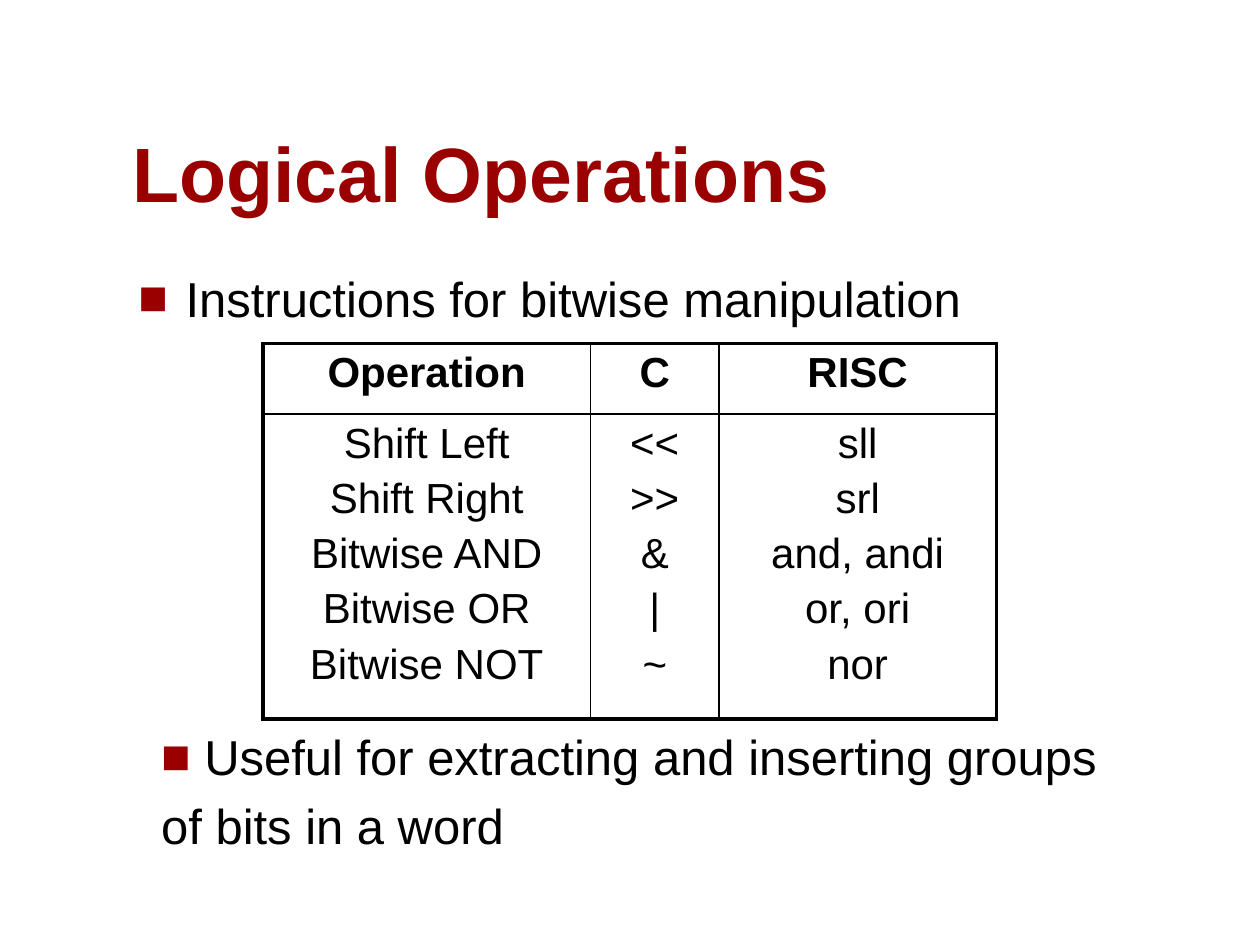
from lxml import etree
from pptx import Presentation
from pptx import util as u
from pptx.dml.color import RGBColor
from pptx.enum import text as t
from pptx.oxml import ns

COLORS = {"accent": "9A0000", "ink": "000000"}
THICK, THIN = 2.25, 1


def add_xml(parent, tag, **attributes):
    return etree.SubElement(parent, ns.qn(tag), attributes)


def write_text(frame, lines, size, color="ink", bold=False, align=t.PP_ALIGN.LEFT,
               gap=0, anchor=t.MSO_ANCHOR.TOP, bullet_indent=None):
    """Write one paragraph per line; bullet_indent (margin, first line) marks the first."""
    frame.word_wrap = True
    frame.vertical_anchor = anchor
    for index, line in enumerate(lines):
        paragraph = frame.add_paragraph() if index else frame.paragraphs[0]
        paragraph.alignment = align
        paragraph.space_before = u.Pt(gap if index else 0)
        if bullet_indent and index == 0:
            add_bullet(paragraph, *bullet_indent)
        run = paragraph.add_run()
        run.text = line
        run.font.name = "Arial"
        run.font.size = u.Pt(size)
        run.font.bold = bold
        run.font.color.rgb = RGBColor.from_string(COLORS[color])


def add_bullet(paragraph, margin, indent):
    properties = paragraph._p.get_or_add_pPr()
    properties.set("marL", str(u.Pt(margin)))
    properties.set("indent", str(u.Pt(indent)))
    bullet_color = add_xml(properties, "a:buClr")
    add_xml(bullet_color, "a:srgbClr", val=COLORS["accent"])
    add_xml(properties, "a:buFont", typeface="Arial")
    add_xml(properties, "a:buChar", char="■")


class SlideBuilder:
    def __init__(self, slide):
        self.slide = slide

    def text_box(self, left, top, width, height, lines, **style):
        box = self.slide.shapes.add_textbox(*map(u.Pt, (left, top, width, height)))
        write_text(box.text_frame, lines, **style)

    def table(self, left, top, widths, heights, rows, size, gap):
        frame = self.slide.shapes.add_table(
            len(heights), len(widths),
            *map(u.Pt, (left, top, sum(widths), sum(heights))))
        table = frame.table
        table.first_row = table.horz_banding = False
        for column, width in zip(table.columns, widths):
            column.width = u.Pt(width)
        for row, height in zip(table.rows, heights):
            row.height = u.Pt(height)
        last_row, last_column = len(heights) - 1, len(widths) - 1
        for i, row in enumerate(rows):
            for j, lines in enumerate(row):
                cell = table.cell(i, j)
                # Thick outline, thin inner rules
                self.borders(cell, L=j == 0, R=j == last_column,
                             T=i == 0, B=i == last_row)
                cell.fill.background()
                write_text(cell.text_frame, lines, size, bold=i == 0,
                           align=t.PP_ALIGN.CENTER, gap=gap)

    def borders(self, cell, **outer_sides):
        properties = cell._tc.get_or_add_tcPr()
        for side, outer in outer_sides.items():
            width = u.Pt(THICK if outer else THIN)
            line = add_xml(properties, f"a:ln{side}", w=str(width))
            fill = add_xml(line, "a:solidFill")
            add_xml(fill, "a:srgbClr", val=COLORS["ink"])


def main():
    presentation = Presentation()
    presentation.slide_width, presentation.slide_height = u.Pt(720), u.Pt(540)
    builder = SlideBuilder(presentation.slides.add_slide(presentation.slide_layouts[6]))

    # Title
    builder.text_box(68.6, 68, 643, 59.8, ["Logical Operations"], size=44,
                     color="accent", bold=True, anchor=t.MSO_ANCHOR.BOTTOM)

    # Introduction
    body = {"size": 28, "gap": 5.6}
    builder.text_box(72, 149.8, 617, 51.8, ["Instructions for bitwise manipulation"],
                     bullet_indent=(27, -27), **body)

    # Table of operations: each body cell lists all five entries
    header = [["Operation"], ["C"], ["RISC"]]
    operations = [
        ("Shift Left", "<<", "sll"),
        ("Shift Right", ">>", "srl"),
        ("Bitwise AND", "&", "and, andi"),
        ("Bitwise OR", "|", "or, ori"),
        ("Bitwise NOT", "~", "nor"),
    ]
    builder.table(150.2, 196.2, widths=(187.2, 73.5, 158.4), heights=(40.3, 174.3),
                  rows=[header, list(zip(*operations))], size=24, gap=4.8)

    # Closing remark
    builder.text_box(85, 411.8, 635, 81.4,
                     [" Useful for extracting and inserting groups", "of bits in a word"],
                     bullet_indent=(0, -10.8), **body)

    presentation.save("out.pptx")


if __name__ == "__main__":
    main()
